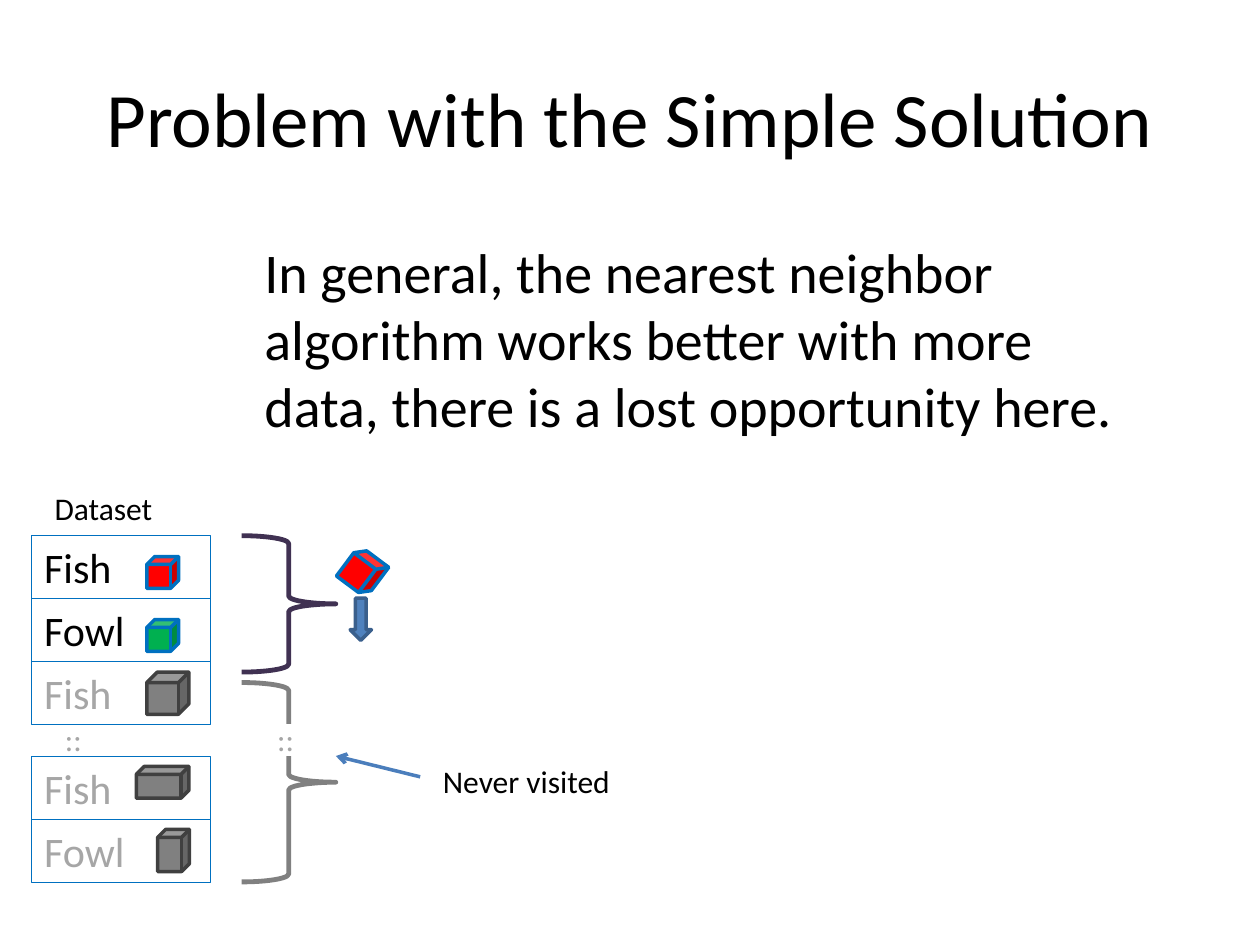
from lxml import etree
from pptx import Presentation
from pptx import util as u
from pptx.dml.color import RGBColor
from pptx.enum import shapes, text
from pptx.oxml.ns import qn

BLACK = RGBColor(0x00, 0x00, 0x00)
WHITE = RGBColor(0xFF, 0xFF, 0xFF)
FADED = RGBColor(0xA6, 0xA6, 0xA6)
GRAY = RGBColor(0x80, 0x80, 0x80)
DARK_GRAY = RGBColor(0x40, 0x40, 0x40)
RED = RGBColor(0xFF, 0x00, 0x00)
GREEN = RGBColor(0x00, 0xB0, 0x50)
OUTLINE = RGBColor(0x00, 0x70, 0xC0)
BLUE = RGBColor(0x4F, 0x81, 0xBD)
DARK_BLUE = RGBColor(0x3A, 0x5F, 0x8C)
POINTER_BLUE = RGBColor(0x4B, 0x7E, 0xBC)
PURPLE = RGBColor(0x40, 0x31, 0x52)

deck = Presentation()
deck.slide_width, deck.slide_height = u.Cm(25.4), u.Cm(19.05)
slide = deck.slides.add_slide(deck.slide_layouts[5])


def write(frame, wording, size, color):
    run = frame.paragraphs[0].add_run()
    run.text = wording
    run.font.name = "Calibri"
    run.font.size = u.Pt(size)
    run.font.color.rgb = color


def draw(kind, box, fill=None, line=None, weight=2):
    shape = slide.shapes.add_shape(kind, *map(u.Cm, box))
    shape.shadow.inherit = False
    if fill is None:
        shape.fill.background()
    else:
        shape.fill.solid()
        shape.fill.fore_color.rgb = fill
    if line is None:
        shape.line.fill.background()
    else:
        shape.line.color.rgb = line
        shape.line.width = u.Pt(weight)
    return shape


title = slide.shapes.title
title.left, title.top, title.width, title.height = map(u.Cm, (1.27, 0.76, 22.86, 3.18))
write(title.text_frame, "Problem with the Simple Solution", 44, BLACK)

row_height = 1.27
dataset_top = 10.8
for slot, label, color in [
    (0, "Fish", BLACK),
    (1, "Fowl", BLACK),
    (2, "Fish", FADED),
    (3.5, "Fish", FADED),
    (4.5, "Fowl", FADED),
]:
    row_top = dataset_top + slot * row_height
    row = draw(shapes.MSO_SHAPE.RECTANGLE, (0.64, row_top, 3.6, row_height), line=OUTLINE, weight=0.75)
    row.text_frame.vertical_anchor = text.MSO_ANCHOR.TOP
    row.text_frame.paragraphs[0].alignment = text.PP_ALIGN.LEFT
    write(row.text_frame, label, 24, color)

for box, fill, line, angle in [
    ((2.96, 11.22, 0.64, 0.64), RED, OUTLINE, 0),
    ((2.96, 12.49, 0.64, 0.64), GREEN, OUTLINE, 0),
    ((2.96, 13.55, 0.85, 0.85), GRAY, DARK_GRAY, 0),
    ((2.75, 15.45, 1.06, 0.64), GRAY, DARK_GRAY, 0),
    ((3.18, 16.72, 0.64, 0.85), GRAY, DARK_GRAY, 0),
    ((6.94, 11.14, 0.74, 0.77), RED, OUTLINE, 36.8),
]:
    draw(shapes.MSO_SHAPE.CUBE, box, fill, line).rotation = angle

draw(shapes.MSO_SHAPE.DOWN_ARROW, (7.06, 12.06, 0.43, 0.85), BLUE, DARK_BLUE)
draw(shapes.MSO_SHAPE.RIGHT_BRACE, (4.87, 10.8, 1.9, 2.75), line=PURPLE, weight=2.75)
draw(shapes.MSO_SHAPE.RIGHT_BRACE, (4.87, 13.76, 1.9, 4.02), line=GRAY, weight=2.75)
draw(shapes.MSO_SHAPE.RECTANGLE, (5.5, 14.6, 0.43, 0.64), fill=WHITE)

for box, wording, size, color, wraps in [
    ((1.06, 14.39, 0.87, 1.03), "::", 18, FADED, False),
    ((5.34, 14.39, 0.87, 1.03), "::", 18, FADED, False),
    ((0.85, 9.74, 2.51, 1.03), "Dataset", 18, BLACK, False),
    ((8.68, 15.24, 3.91, 1.03), "Never visited", 18, BLACK, False),
    (
        (5.08, 4.66, 17.78, 4.37),
        "In general, the nearest neighbor algorithm works better with more data, "
        "there is a lost opportunity here.",
        32, BLACK, True,
    ),
]:
    caption = slide.shapes.add_textbox(*map(u.Cm, box)).text_frame
    caption.word_wrap = wraps
    write(caption, wording, size, color)

pointer = slide.shapes.add_connector(
    shapes.MSO_CONNECTOR.STRAIGHT, *map(u.Cm, (8.47, 15.66, 6.77, 15.24))
)
pointer.line.color.rgb = POINTER_BLUE
pointer.line.width = u.Pt(2)
etree.SubElement(pointer.line._get_or_add_ln(), qn("a:tailEnd"), type="arrow")
etree.SubElement(pointer._element.spPr, qn("a:effectLst"))

deck.save("out.pptx")
